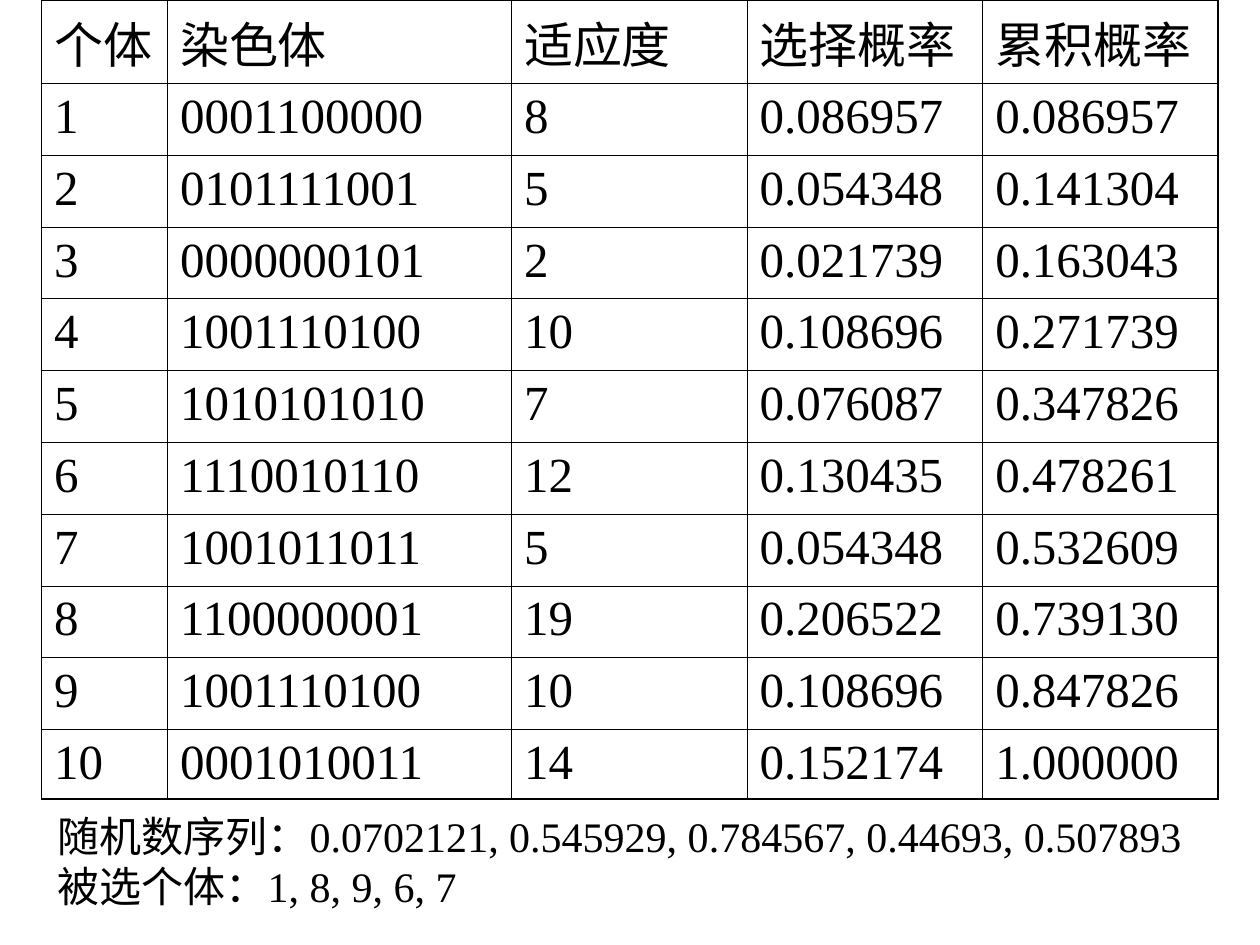
from itertools import accumulate

from lxml.etree import SubElement
from pptx import Presentation
from pptx.dml.color import RGBColor
from pptx.enum.text import MSO_AUTO_SIZE
from pptx.oxml.ns import qn
from pptx.util import Inches, Pt

BLACK = "000000"
FONT_NAME = "Times New Roman"
THIN, THICK = 0.45, 1.08

HEADINGS = ["个体", "染色体", "适应度", "选择概率", "累积概率"]
POPULATION = [
    ("0001100000", 8),
    ("0101111001", 5),
    ("0000000101", 2),
    ("1001110100", 10),
    ("1010101010", 7),
    ("1110010110", 12),
    ("1001011011", 5),
    ("1100000001", 19),
    ("1001110100", 10),
    ("0001010011", 14),
]
COLUMN_WIDTHS = [1, 2.73, 1.87, 1.87, 1.87]
ROW_HEIGHTS = [0.66] + [0.57] * 9 + [0.55]
SELECTION_LINES = [
    "随机数序列：0.0702121, 0.545929, 0.784567, 0.44693, 0.507893",
    "被选个体：1, 8, 9, 6, 7",
]


def color(hex_value):
    return RGBColor.from_string(hex_value)


def write(para, text, size):
    span = para.add_run()
    span.text = text
    for name, value in {"name": FONT_NAME, "size": Pt(size), "bold": False}.items():
        setattr(span.font, name, value)
    span.font.color.rgb = color(BLACK)


def selection_rows():
    """Roulette-wheel rows: each probability is a share of the total fitness."""
    scores = [fitness for _, fitness in POPULATION]
    total = sum(scores)
    return [
        [str(number), chromosome, str(fitness), f"{fitness / total:.6f}", f"{running / total:.6f}"]
        for number, ((chromosome, fitness), running)
        in enumerate(zip(POPULATION, accumulate(scores)), start=1)
    ]


def set_borders(cell, widths):
    """Draw the cell's borders; widths maps line tags to points."""
    properties = cell._tc.get_or_add_tcPr()
    for tag, width in widths.items():
        line = SubElement(properties, qn(f"a:{tag}"), w=str(Pt(width)))
        fill = SubElement(line, qn("a:solidFill"))
        SubElement(fill, qn("a:srgbClr"), val=BLACK)


def add_population_table(page, left, top, width, height):
    rows = [HEADINGS] + selection_rows()
    last_row, last_column = len(rows) - 1, len(HEADINGS) - 1
    table = page.shapes.add_table(
        len(rows), len(HEADINGS), Inches(left), Inches(top), Inches(width), Inches(height)
    ).table
    table.first_row = table.horz_banding = False
    for column, column_width in zip(table.columns, COLUMN_WIDTHS):
        column.width = Inches(column_width)
    for row, row_height in zip(table.rows, ROW_HEIGHTS):
        row.height = Inches(row_height)

    for row_index, values in enumerate(rows):
        for column_index, value in enumerate(values):
            cell = table.cell(row_index, column_index)
            para = cell.text_frame.paragraphs[0]
            para.space_before = Pt(7)
            write(para, value, 28)
            set_borders(cell, {
                "lnL": THICK if column_index == 0 else THIN,
                "lnR": THICK if column_index == last_column else THIN,
                "lnT": THICK if row_index == 0 else THIN,
                "lnB": THICK if row_index == last_row else THIN,
            })
            cell.fill.background()


def add_selection_note(page, left, top, width, height):
    box = page.shapes.add_textbox(Inches(left), Inches(top), Inches(width), Inches(height))
    frame = box.text_frame
    frame.word_wrap = True
    frame.auto_size = MSO_AUTO_SIZE.SHAPE_TO_FIT_TEXT
    for index, text in enumerate(SELECTION_LINES):
        para = frame.add_paragraph() if index else frame.paragraphs[0]
        write(para, text, 24)


def main():
    deck = Presentation()
    deck.slide_width, deck.slide_height = Inches(10), Inches(7.5)
    page = deck.slides.add_slide(deck.slide_layouts[6])
    add_population_table(page, 0.33, 0, 9.33, 6.34)
    add_selection_note(page, 0.36, 6.38, 9.3, 0.9)
    deck.save("out.pptx")


if __name__ == "__main__":
    main()
